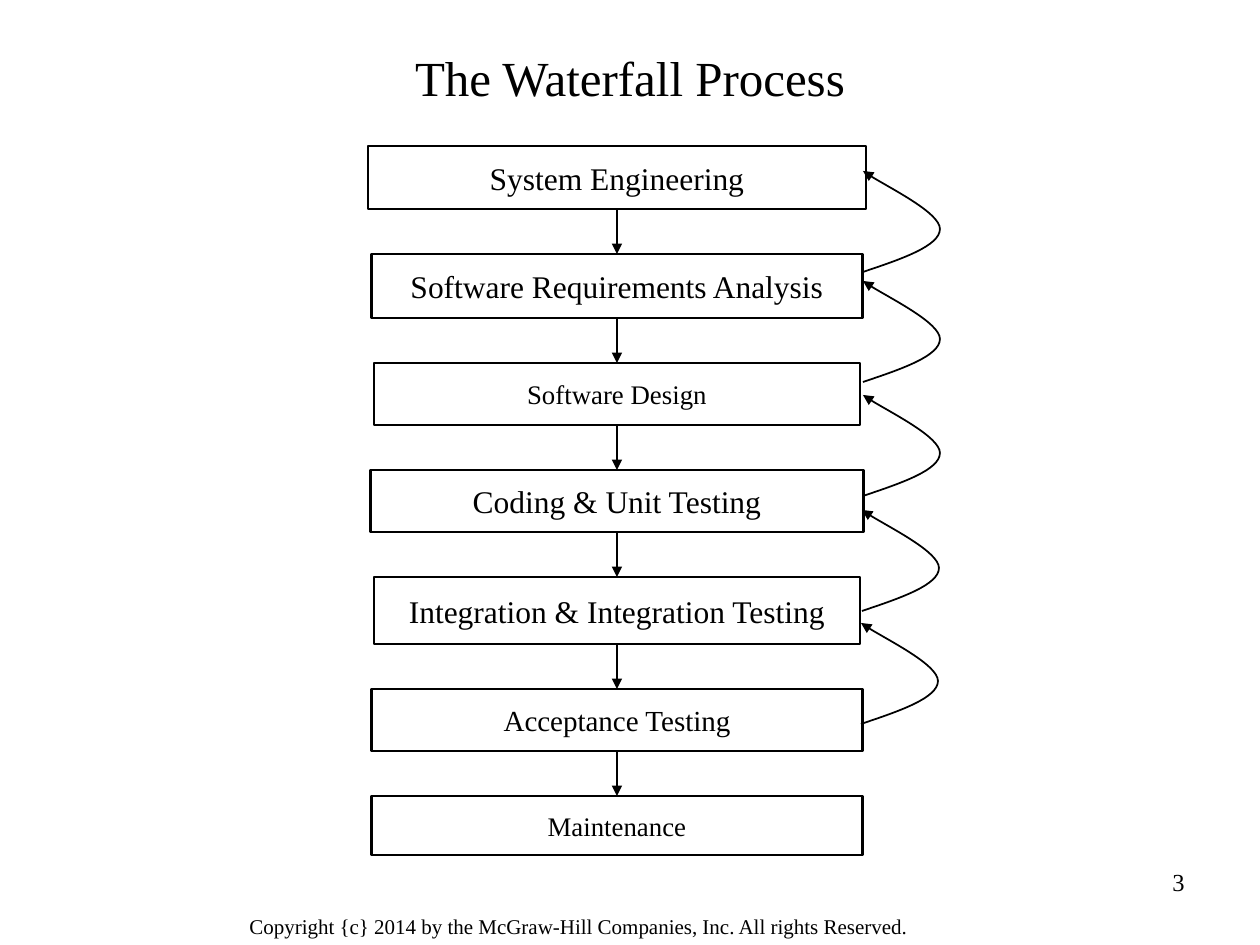
from dataclasses import dataclass

from lxml.etree import SubElement
from pptx import Presentation
from pptx.dml.color import RGBColor
from pptx.enum.shapes import MSO_CONNECTOR, MSO_SHAPE
from pptx.enum.text import MSO_ANCHOR, PP_ALIGN
from pptx.oxml.ns import qn
from pptx.util import Emu, Pt

EMU_PER_PX = 914400 / 126
SLIDE_SIZE = (1260, 945)


@dataclass(frozen=True)
class Theme:
    ink: RGBColor = RGBColor(0, 0, 0)
    paper: RGBColor = RGBColor(255, 255, 255)
    font: str = "Times New Roman"
    title: float = 28
    page_number: float = 14
    copyright: float = 12
    stage_line: float = 1.5
    feedback_line: float = 1


THEME = Theme()

# text, box, type size, alignment, vertical anchor
LABELS = [
    ("The Waterfall Process", (63, 38, 1134, 78), THEME.title, PP_ALIGN.CENTER, MSO_ANCHOR.MIDDLE),
    ("3", (903, 861, 294, 66), THEME.page_number, PP_ALIGN.RIGHT, MSO_ANCHOR.TOP),
    ("Copyright {c} 2014 by the McGraw-Hill Companies, Inc. All rights Reserved.",
     (237, 907, 780, 39), THEME.copyright, PP_ALIGN.LEFT, MSO_ANCHOR.TOP),
]

# name, top, width, height, type size
STAGES = [
    ("System Engineering", 146, 498, 63, 18),
    ("Software Requirements Analysis", 254, 491, 64, 18),
    ("Software Design", 363, 486, 62, 15.3),
    ("Coding & Unit Testing", 470, 493, 62, 18),
    ("Integration & Integration Testing", 577, 486, 67, 18),
    ("Acceptance Testing", 689, 491, 62, 16.6),
    ("Maintenance", 796, 491, 59, 15.3),
]
STAGE_CENTER = 617

FEEDBACK_STARTS = [(861, 724), (862, 611), (863, 496), (863, 382), (863, 272)]
# two Bezier segments, relative to the start
FEEDBACK_CURVE = [(39, -13), (77, -26), (77, -43), (77, -59), (13, -91), (0, -101)]


def px(*lengths):
    return [Emu(round(length * EMU_PER_PX)) for length in lengths]


def write(shape, text, size, align, anchor):
    frame = shape.text_frame
    frame.word_wrap = True
    frame.vertical_anchor = anchor
    paragraph = frame.paragraphs[0]
    paragraph.text = text
    paragraph.alignment = align
    paragraph.font.name = THEME.font
    paragraph.font.size = Pt(size)
    paragraph.font.color.rgb = THEME.ink


def draw_line(shape, width):
    shape.line.color.rgb = THEME.ink
    shape.line.width = Pt(width)


def add_arrowhead(shape):
    SubElement(shape.line._get_or_add_ln(), qn("a:tailEnd"), type="triangle")


def add_stage(shapes, name, top, width, height, size):
    left = STAGE_CENTER - width / 2
    box = shapes.add_shape(MSO_SHAPE.RECTANGLE, *px(left, top, width, height))
    box.shadow.inherit = False
    box.fill.solid()
    box.fill.fore_color.rgb = THEME.paper
    draw_line(box, THEME.stage_line)
    write(box, name, size, PP_ALIGN.CENTER, MSO_ANCHOR.MIDDLE)


def add_down_arrow(shapes, top, bottom):
    arrow = shapes.add_connector(
        MSO_CONNECTOR.STRAIGHT, *px(STAGE_CENTER, top, STAGE_CENTER, bottom))
    draw_line(arrow, THEME.stage_line)
    add_arrowhead(arrow)
    SubElement(arrow._element.spPr, qn("a:effectLst"))


def add_feedback(shapes, x, y):
    """Draw the control points as an outline, then turn each three into a Bezier segment."""
    builder = shapes.build_freeform(x, y, scale=EMU_PER_PX)
    builder.add_line_segments([(x + dx, y + dy) for dx, dy in FEEDBACK_CURVE], close=False)
    curve = builder.convert_to_shape()
    outline = next(curve._element.iter(qn("a:path")))
    steps = outline.findall(qn("a:lnTo"))
    for first in range(0, len(steps), 3):
        segment = SubElement(outline, qn("a:cubicBezTo"))
        for step in steps[first:first + 3]:
            segment.append(step[0])
            outline.remove(step)
    curve.shadow.inherit = False
    curve.fill.background()
    draw_line(curve, THEME.feedback_line)
    add_arrowhead(curve)


def main():
    deck = Presentation()
    deck.slide_width, deck.slide_height = px(*SLIDE_SIZE)
    shapes = deck.slides.add_slide(deck.slide_layouts[6]).shapes

    for text, box, size, align, anchor in LABELS:
        write(shapes.add_textbox(*px(*box)), text, size, align, anchor)
    for stage in STAGES:
        add_stage(shapes, *stage)
    for (_, top, _, height, _), (_, next_top, *_) in zip(STAGES, STAGES[1:]):
        add_down_arrow(shapes, top + height, next_top)
    for start in FEEDBACK_STARTS:
        add_feedback(shapes, *start)

    deck.save("out.pptx")


if __name__ == "__main__":
    main()
